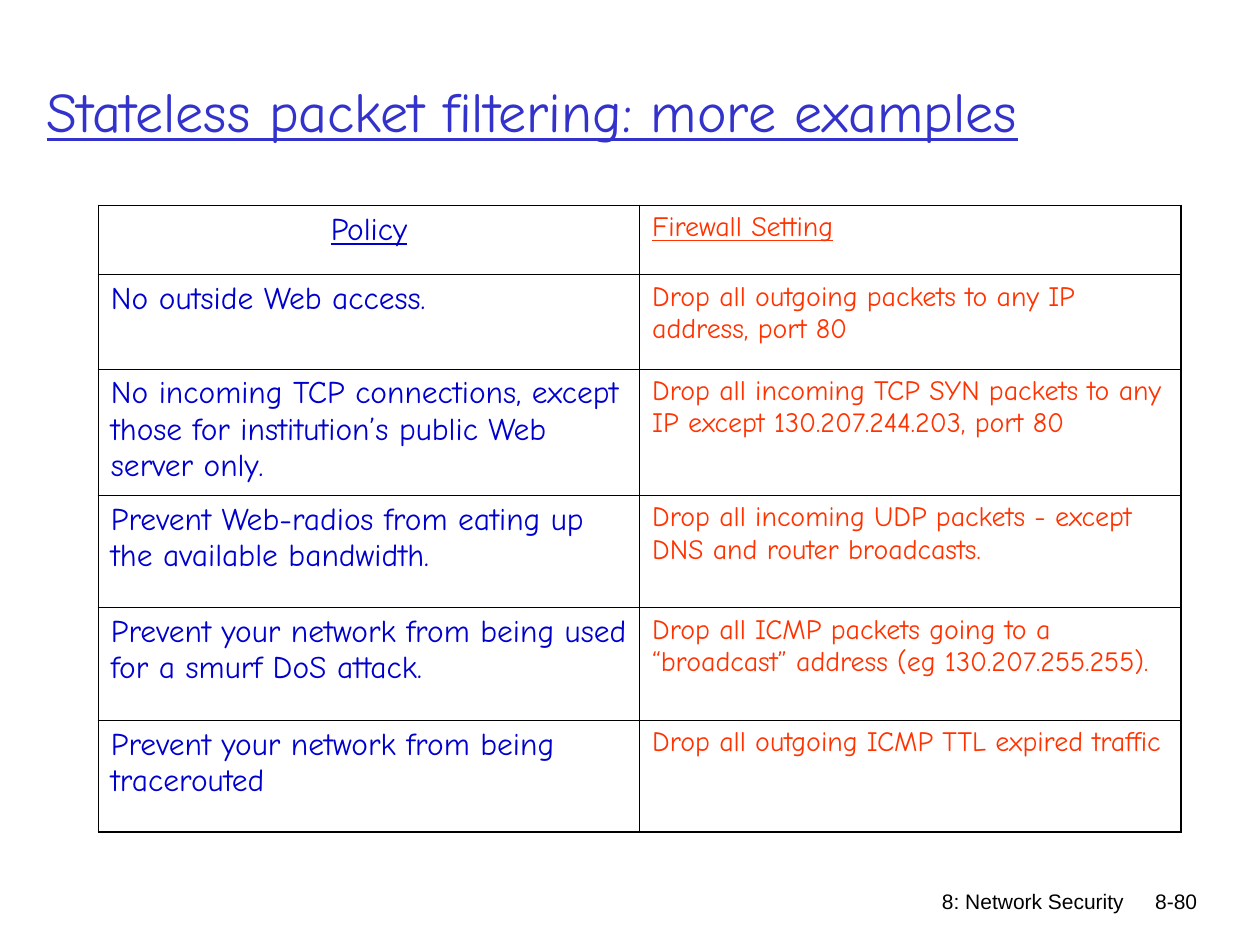
"""Build the slide of stateless packet filtering examples."""
from dataclasses import dataclass

import pptx
import pptx.dml.color
import pptx.enum.text
import pptx.oxml
import pptx.oxml.ns
import pptx.util

Pt = pptx.util.Pt
Align = pptx.enum.text.PP_ALIGN


@dataclass(frozen=True)
class TextStyle:
    font: str
    size: float
    color: str
    underline: bool = False
    alignment: Align = Align.LEFT


@dataclass(frozen=True)
class Theme:
    title: TextStyle = TextStyle("Comic Neue", 32, "3333CC", True)
    policy_header: TextStyle = TextStyle("Comic Neue", 18, "0000CC", True, Align.CENTER)
    policy: TextStyle = TextStyle("Comic Neue", 18, "0000CC")
    setting_header: TextStyle = TextStyle("Comic Neue", 16, "FF3300", True)
    setting: TextStyle = TextStyle("Comic Neue", 16, "FF3300")
    footer: TextStyle = TextStyle("Arial", 12, "000000", alignment=Align.RIGHT)
    border: str = "000000"
    outer_border: float = 1.08
    inner_border: float = 0.45


@dataclass(frozen=True)
class Box:
    left: float
    top: float
    width: float
    height: float

    def lengths(self) -> tuple:
        """Return the four measures as lengths."""
        return Pt(self.left), Pt(self.top), Pt(self.width), Pt(self.height)


@dataclass(frozen=True)
class Rule:
    policy: str
    setting: str
    height: float


@dataclass(frozen=True)
class Footer:
    text: str
    box: Box


THEME = Theme()
TITLE_BOX = Box(19.5, 18, 659.5, 90)
TABLE_BOX = Box(56.2, 117.4, 618.6, 358.2)
RULES = [
    Rule("Policy", "Firewall Setting", 39.5),
    Rule("No outside Web access.", "Drop all outgoing packets to any IP address, port 80", 54),
    Rule("No incoming TCP connections, except those for institution’s public Web server only.",
         "Drop all incoming TCP SYN packets to any IP except 130.207.244.203, port 80", 72.2),
    Rule("Prevent Web-radios from eating up the available bandwidth.",
         "Drop all incoming UDP packets - except DNS and router broadcasts.", 64.1),
    Rule("Prevent your network from being used for a smurf DoS attack.",
         "Drop all ICMP packets going to a “broadcast” address (eg 130.207.255.255).", 64.5),
    Rule("Prevent your network from being tracerouted",
         "Drop all outgoing ICMP TTL expired traffic", 63.9),
]
FOOTERS = [
    Footer("8: Network Security", Box(421.2, 504, 228.2, 36)),
    Footer("8-80", Box(633.6, 504, 57.6, 23)),
]


def write_text(text_frame, text: str, style: TextStyle) -> None:
    """Fill a text frame with one styled paragraph."""
    text_frame.text = text
    text_frame.word_wrap = True
    paragraph = text_frame.paragraphs[0]
    paragraph.alignment = style.alignment
    font = paragraph.font
    font.name = style.font
    font.size = Pt(style.size)
    font.underline = style.underline
    font.color.rgb = pptx.dml.color.RGBColor.from_string(style.color)


def add_border(cell, side: str, outer: bool) -> None:
    """Draw one side of a table cell."""
    width = Pt(THEME.outer_border if outer else THEME.inner_border)
    namespace = pptx.oxml.ns.nsdecls("a")
    cell._tc.get_or_add_tcPr().append(pptx.oxml.parse_xml(
        f'<a:ln{side} {namespace} w="{int(width)}"><a:solidFill>'
        f'<a:srgbClr val="{THEME.border}"/></a:solidFill></a:ln{side}>'))


def add_title(slide, text: str) -> None:
    """Place and fill the title placeholder."""
    title = slide.shapes.title
    title.left, title.top, title.width, title.height = TITLE_BOX.lengths()
    write_text(title.text_frame, text, THEME.title)
    title.text_frame.vertical_anchor = pptx.enum.text.MSO_ANCHOR.MIDDLE


def add_rule_table(slide, rules: list[Rule]) -> None:
    """Add the table of policies and firewall settings."""
    table = slide.shapes.add_table(len(rules), 2, *TABLE_BOX.lengths()).table
    table.first_row = table.horz_banding = False
    for column in table.columns:
        column.width = Pt(TABLE_BOX.width / 2)
    last_row = len(rules) - 1
    for row, rule in enumerate(rules):
        table.rows[row].height = Pt(rule.height)
        if row == 0:
            styles = THEME.policy_header, THEME.setting_header
        else:
            styles = THEME.policy, THEME.setting
        for column, text in enumerate((rule.policy, rule.setting)):
            cell = table.cell(row, column)
            write_text(cell.text_frame, text, styles[column])
            add_border(cell, "L", column == 0)
            add_border(cell, "R", column == 1)
            add_border(cell, "T", row == 0)
            add_border(cell, "B", row == last_row)
            cell.fill.background()


def add_footer(slide, footer: Footer) -> None:
    """Add a right-aligned footer text."""
    shape = slide.shapes.add_textbox(*footer.box.lengths())
    write_text(shape.text_frame, footer.text, THEME.footer)


def main() -> None:
    """Build and save the presentation."""
    presentation = pptx.Presentation()
    presentation.slide_width, presentation.slide_height = Pt(720), Pt(540)
    slide = presentation.slides.add_slide(presentation.slide_layouts[5])
    for footer in FOOTERS:
        add_footer(slide, footer)
    add_rule_table(slide, RULES)
    add_title(slide, "Stateless packet filtering: more examples")
    presentation.save("out.pptx")


if __name__ == "__main__":
    main()
